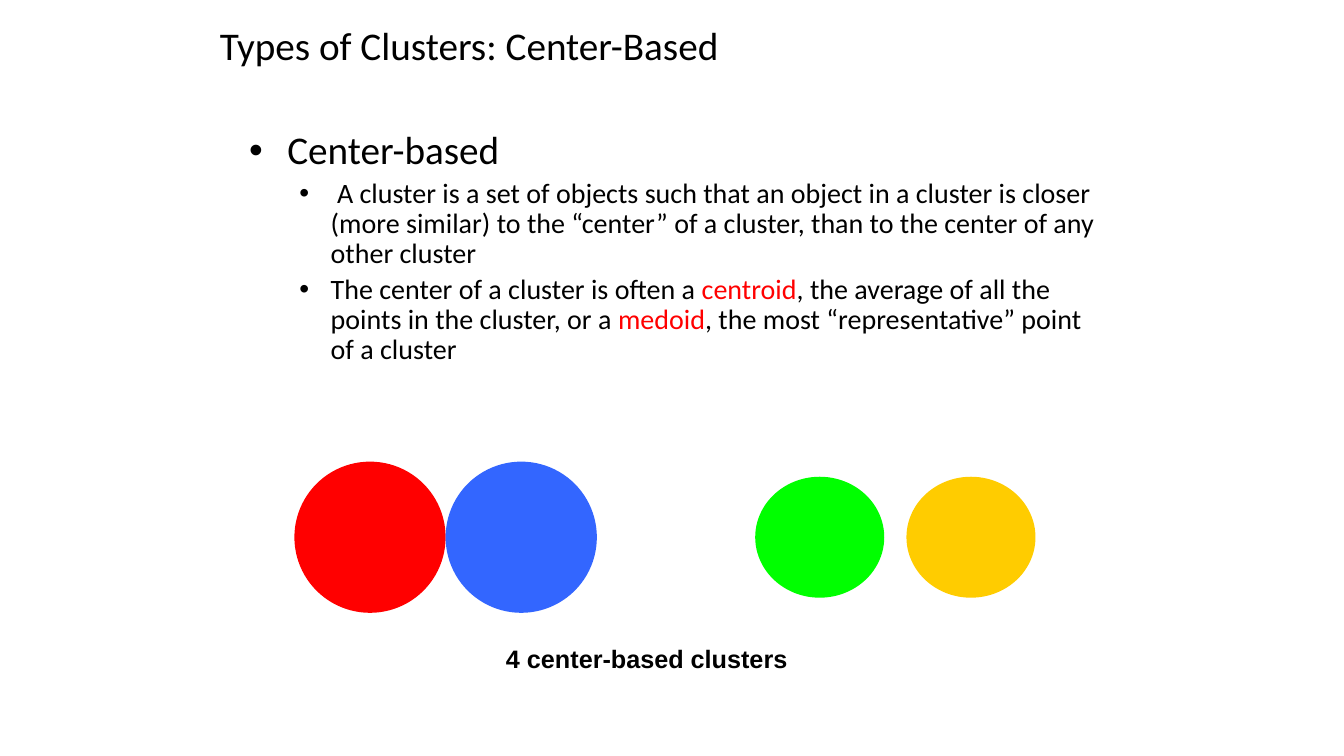
from lxml import etree
from pptx import Presentation
from pptx.dml.color import RGBColor
from pptx.enum.shapes import MSO_SHAPE
from pptx.enum.text import MSO_ANCHOR, MSO_AUTO_SIZE, PP_ALIGN
from pptx.oxml.ns import qn
from pptx.util import Inches, Pt

BLACK = RGBColor(0x00, 0x00, 0x00)
RED = RGBColor(0xFF, 0x00, 0x00)
BLUE = RGBColor(0x33, 0x66, 0xFF)
GREEN = RGBColor(0x00, 0xFF, 0x00)
GOLD = RGBColor(0xFF, 0xCC, 0x00)

# Level: text size, left margin, hanging indent
LEVELS = {0: (28, 0.38, 0.38), 1: (20, 0.81, 0.31)}

# Each point is a level and its runs of text with colour
POINTS = [
    (0, [("Center-based", BLACK)]),
    (1, [(" A cluster is a set of objects such that an object in a cluster is "
          "closer (more similar) to the “center” of a cluster, than to the "
          "center of any other cluster", BLACK)]),
    (1, [("The center of a cluster is often a ", BLACK),
         ("centroid", RED),
         (", the average of all the points in the cluster, or a ", BLACK),
         ("medoid", RED),
         (", the most “representative” point of a cluster", BLACK)]),
]


def place(shape, box):
    for side, length in zip(("left", "top", "width", "height"), box):
        setattr(shape, side, Inches(length))


def add_run(paragraph, text, size, color=BLACK, font="Calibri", bold=False):
    run = paragraph.add_run()
    run.text = text
    formats = {"name": font, "size": Pt(size), "bold": bold}
    for name, value in formats.items():
        setattr(run.font, name, value)
    run.font.color.rgb = color


def set_bullet(paragraph, margin, hanging):
    properties = paragraph._p.get_or_add_pPr()
    properties.set("marL", str(Inches(margin)))
    properties.set("indent", str(-Inches(hanging)))
    etree.SubElement(properties, qn("a:buFont")).set("typeface", "Arial")
    etree.SubElement(properties, qn("a:buChar")).set("char", "•")


def fill_title(title, box):
    place(title, box)
    frame = title.text_frame
    frame.auto_size = MSO_AUTO_SIZE.NONE
    frame.vertical_anchor = MSO_ANCHOR.MIDDLE
    heading = frame.paragraphs[0]
    heading.alignment = PP_ALIGN.LEFT
    heading.line_spacing = 0.9
    add_run(heading, "Types of Clusters: Center-Based", 28)


def fill_points(body, box):
    place(body, box)
    frame = body.text_frame
    frame.auto_size = MSO_AUTO_SIZE.NONE
    for index, (level, runs) in enumerate(POINTS):
        point = frame.add_paragraph() if index else frame.paragraphs[0]
        size, margin, hanging = LEVELS[level]
        point.level = level
        point.line_spacing = 0.9
        point.space_before = Pt(0.2 * size)
        set_bullet(point, margin, hanging)
        for text, color in runs:
            add_run(point, text, size, color)


def add_cluster_pair(slide, box, colors, pitch=1.5):
    """Two clusters side by side; box is that of the first one."""
    left, top, width, height = box
    for index, color in enumerate(colors):
        cluster = slide.shapes.add_shape(
            MSO_SHAPE.OVAL, Inches(left + index * pitch), Inches(top),
            Inches(width), Inches(height))
        cluster.shadow.inherit = False
        cluster.fill.solid()
        cluster.fill.fore_color.rgb = color
        cluster.line.fill.background()


def add_caption(slide, box):
    caption = slide.shapes.add_textbox(*map(Inches, box))
    frame = caption.text_frame
    frame.word_wrap = True
    frame.auto_size = MSO_AUTO_SIZE.SHAPE_TO_FIT_TEXT
    line = frame.paragraphs[0]
    line.space_before = Pt(9)
    add_run(line, "4 center-based clusters", 18, font="Arial", bold=True)


def main():
    deck = Presentation()
    deck.slide_width, deck.slide_height = Inches(13.33), Inches(7.5)
    slide = deck.slides.add_slide(deck.slide_layouts[1])

    # Title and explanation
    fill_title(slide.shapes.title, (2.08, 0.17, 9.06, 0.6))
    fill_points(slide.placeholders[1], (2.37, 1.25, 8.75, 5.59))

    # Touching clusters, separated clusters and their caption
    add_cluster_pair(slide, (2.92, 4.58, 1.5, 1.5), (RED, BLUE))
    add_cluster_pair(slide, (7.49, 4.73, 1.28, 1.2), (GREEN, GOLD))
    add_caption(slide, (4.92, 6.33, 3.5, 0.4))

    deck.save("out.pptx")


if __name__ == "__main__":
    main()
